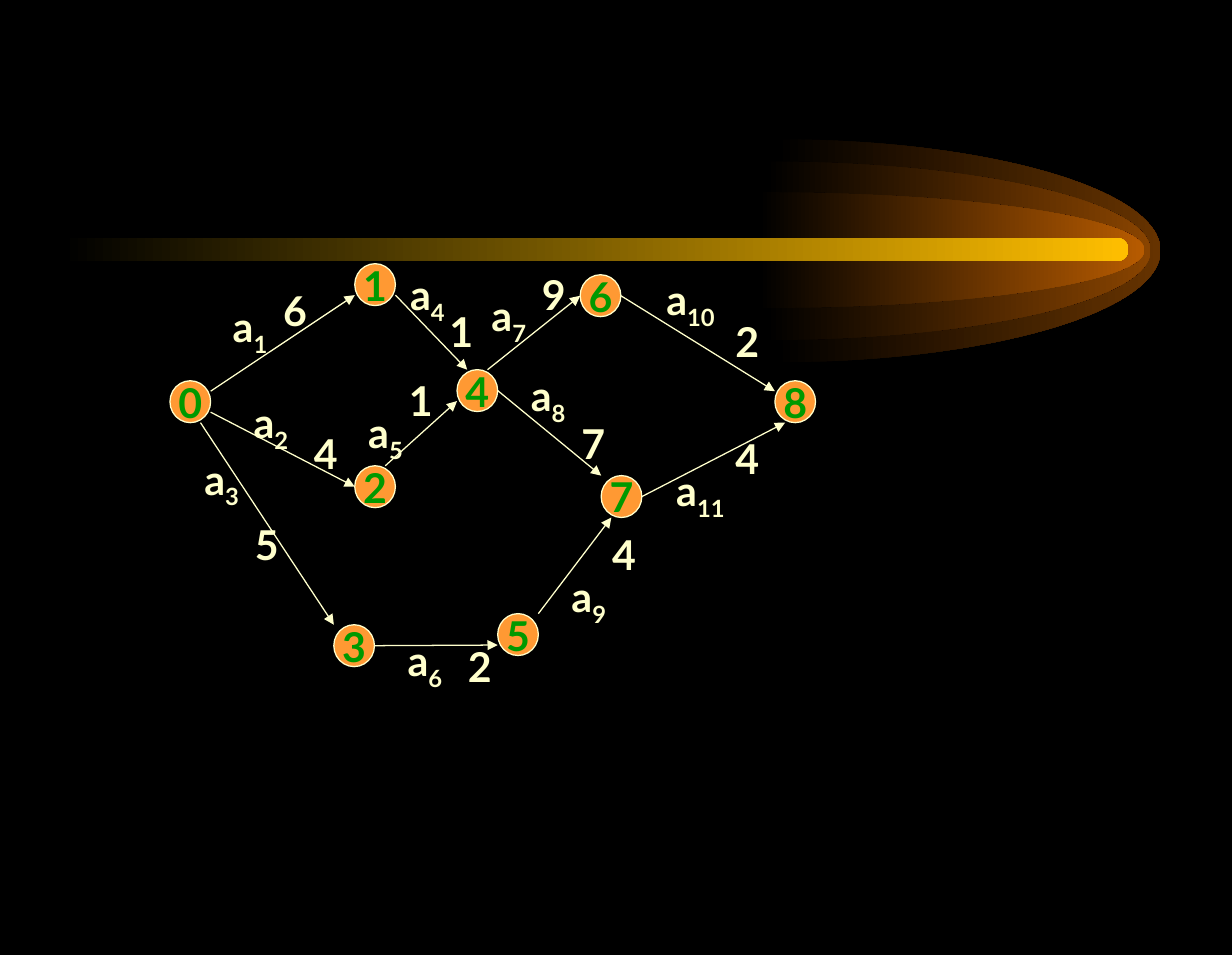
from dataclasses import dataclass

from lxml import etree
from pptx import Presentation
from pptx.dml.color import RGBColor
from pptx.enum import shapes, text
from pptx.oxml import ns
from pptx.util import Pt

PX = 9144  # EMU per px, 100 px to the inch


@dataclass(frozen=True)
class Theme:
    background: str = "000000"
    node: str = "FF9933"
    node_text: str = "009900"
    ink: str = "FFFFCC"
    core: str = "FFBF00"
    shells: tuple = ("663300", "894400", "B75B00")
    font: str = "Lato"
    size: int = 24
    line: float = 0.75


THEME = Theme()
SLIDE_SIZE = (1000, 775)
COMET_BOX = (50, 113, 892, 181)
NETWORK_BOX = (138, 214, 524, 353)

# Comet shells, outermost first: left, top, width, height
SHELLS = [(579, 0, 313, 181), (571, 18, 313, 145), (566, 43, 313, 94)]
CORE = (0, 80, 866, 19)
ROUNDNESS = 0.55  # reach of the curve handles of a quarter ellipse

NODE_SIZE = (33, 34)
# Event number: left, top
NODES = {
    5: (266, 284), 3: (133, 293), 7: (350, 172),
    2: (150, 164), 0: (0, 95), 4: (233, 86),
    8: (491, 95), 1: (150, 0), 6: (333, 9),
}
# Activity, duration, start and end event, the point where the arrow touches
# each of them (in quarters of the node), place of name and of duration
ACTIVITIES = [
    (1, 6, 0, 1, (4, 1), (0, 3), (41, 26), (82, 13)),
    (4, 1, 1, 4, (4, 3), (1, 0), (185, 0), (217, 30)),
    (2, 4, 0, 2, (4, 3), (0, 2), (58, 104), (107, 129)),
    (5, 1, 2, 4, (3, 0), (0, 3), (151, 112), (184, 86)),
    (3, 5, 0, 3, (3, 4), (0, 0), (18, 150), (59, 203)),
    (6, 2, 3, 5, (4, 2), (0, 3), (183, 297), (232, 302)),
    (9, 4, 5, 7, (4, 0), (1, 4), (316, 245), (349, 211)),
    (8, 7, 4, 7, (4, 2), (0, 0), (283, 82), (324, 121)),
    (11, 4, 7, 8, (4, 2), (1, 4), (401, 159), (449, 133)),
    (7, 9, 4, 6, (3, 0), (0, 2), (251, 17), (292, 0)),
    (10, 2, 6, 8, (4, 2), (0, 1), (393, 4), (449, 38)),
]


def rgb(value):
    return RGBColor.from_string(value)


def emu(*lengths):
    return [round(length * PX) for length in lengths]


def glow(shape, color):
    """Fade from the background to a colour, left to right, without outline."""
    shape.shadow.inherit = False
    shape.line.fill.background()
    shape.fill.gradient()
    shape.fill.gradient_angle = 0
    for stop, value in zip(shape.fill.gradient_stops, (THEME.background, color)):
        stop.color.rgb = rgb(value)


def write(frame, color, word, subscript=""):
    frame.word_wrap = False
    paragraph = frame.paragraphs[0]
    for part in filter(None, (word, subscript)):
        run = paragraph.add_run()
        run.text = part
        style = {"name": THEME.font, "size": Pt(THEME.size), "bold": True}
        for key, value in style.items():
            setattr(run.font, key, value)
        run.font.color.rgb = rgb(color)
        if part is subscript:
            run._r.get_or_add_rPr().set("baseline", "-25000")
    return paragraph


def half_ellipse(parts, left, top, width, height):
    """Right half of an ellipse: two curves, closed through its centre."""
    middle, reach = height / 2, ROUNDNESS * height / 2
    outline = [
        (0, 0), (ROUNDNESS * width, 0), (width, middle - reach), (width, middle),
        (width, middle + reach), (ROUNDNESS * width, height), (0, height), (0, middle),
    ]
    points = [emu(left + across, top + down) for across, down in outline]
    builder = parts.build_freeform(*points[0], scale=1.0)
    builder.add_line_segments(points[1:], close=True)
    shape = builder.convert_to_shape()
    # Join each three segments of the arc into one curve
    segments = list(shape._element.iter(ns.qn("a:lnTo")))
    for first in (0, 3):
        curve = etree.Element(ns.qn("a:cubicBezTo"))
        segments[first].addprevious(curve)
        for segment in segments[first:first + 3]:
            curve.append(segment[0])
            segment.getparent().remove(segment)
    return shape


def draw_comet(slide, box):
    x, y = box[:2]
    parts = slide.shapes.add_group_shape().shapes
    # Glowing shells
    for (left, top, width, height), color in zip(SHELLS, THEME.shells):
        glow(half_ellipse(parts, x + left, y + top, width, height), color)
    # Bright core with its tail
    left, top, width, height = CORE
    core = parts.add_shape(shapes.MSO_SHAPE.ROUNDED_RECTANGLE,
                           *emu(x + left, y + top, width, height))
    core.adjustments[0] = 0.5
    glow(core, THEME.core)


def draw_node(parts, number, left, top):
    node = parts.add_shape(shapes.MSO_SHAPE.OVAL, *emu(left, top, *NODE_SIZE))
    node.shadow.inherit = False
    node.fill.solid()
    node.fill.fore_color.rgb = rgb(THEME.node)
    node.line.color.rgb = rgb(THEME.ink)
    node.line.width = Pt(THEME.line)
    node.text_frame.vertical_anchor = text.MSO_ANCHOR.MIDDLE
    paragraph = write(node.text_frame, THEME.node_text, str(number))
    paragraph.alignment = text.PP_ALIGN.CENTER


def draw_arrow(parts, start, end):
    arrow = parts.add_connector(shapes.MSO_CONNECTOR.STRAIGHT, *emu(*start, *end))
    arrow.line.color.rgb = rgb(THEME.ink)
    arrow.line.width = Pt(THEME.line)
    properties = arrow._element.spPr
    etree.SubElement(properties.find(ns.qn("a:ln")), ns.qn("a:tailEnd"), type="triangle")
    etree.SubElement(properties, ns.qn("a:effectLst"))


def draw_label(parts, left, top, width, height, word, subscript=""):
    label = parts.add_textbox(*emu(left, top, width, height))
    write(label.text_frame, THEME.ink, word, subscript)
    label.text_frame.auto_size = text.MSO_AUTO_SIZE.SHAPE_TO_FIT_TEXT


def draw_network(slide, box):
    x, y = box[:2]
    parts = slide.shapes.add_group_shape().shapes

    def touch(event, quarters):
        left, top = NODES[event]
        across, down = (side * q / 4 for side, q in zip(NODE_SIZE, quarters))
        return x + left + across, y + top + down

    # Events
    for number, (left, top) in NODES.items():
        draw_node(parts, number, x + left, y + top)
    # Activity arrows
    for _, _, start, end, leave, arrive, _, _ in ACTIVITIES:
        draw_arrow(parts, touch(start, leave), touch(end, arrive))
    # Activity names and durations
    for activity, duration, *_, name_at, duration_at in ACTIVITIES:
        name_width = 51 if activity < 10 else 62
        draw_label(parts, x + name_at[0], y + name_at[1], name_width, 56,
                   "a", str(activity))
        draw_label(parts, x + duration_at[0], y + duration_at[1], 39, 50,
                   str(duration))


def main():
    deck = Presentation()
    deck.slide_width, deck.slide_height = emu(*SLIDE_SIZE)
    slide = deck.slides.add_slide(deck.slide_layouts[6])
    slide.background.fill.solid()
    slide.background.fill.fore_color.rgb = rgb(THEME.background)
    draw_comet(slide, COMET_BOX)
    draw_network(slide, NETWORK_BOX)
    deck.save("out.pptx")


if __name__ == "__main__":
    main()
